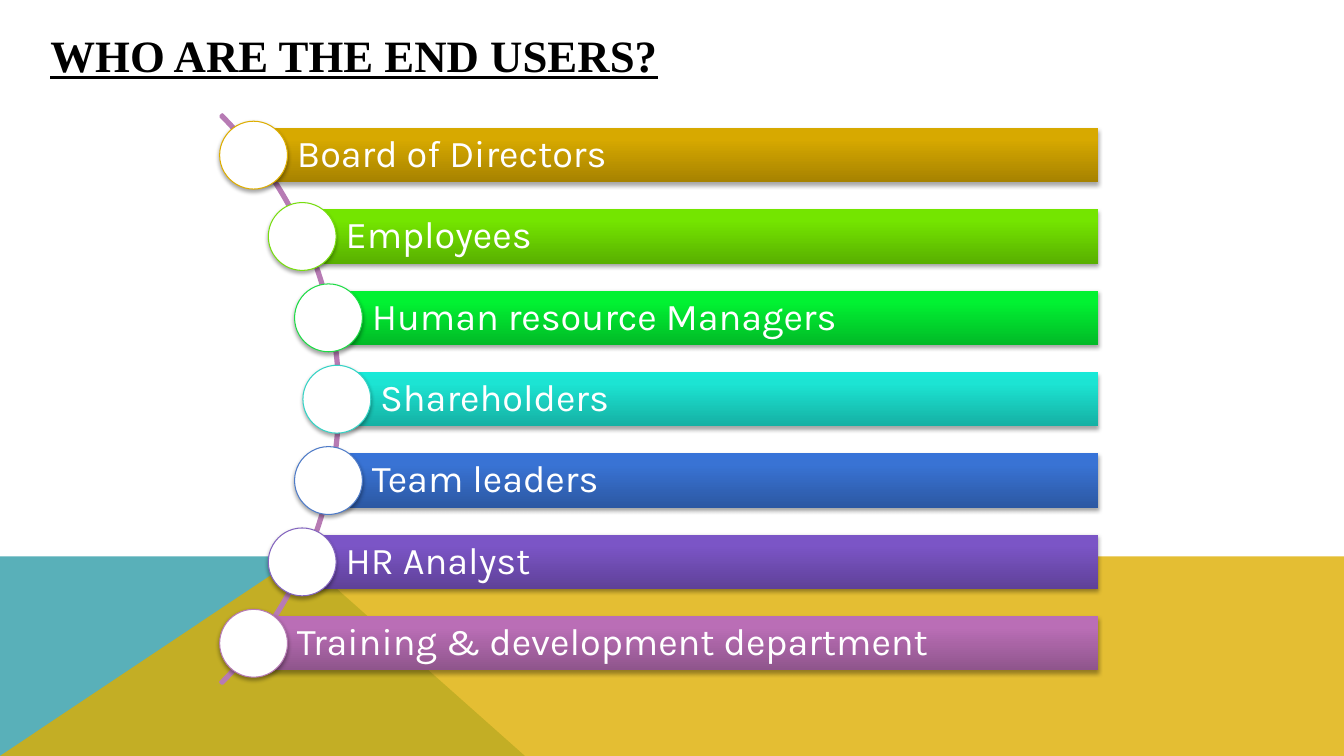
from copy import deepcopy
from dataclasses import dataclass
from math import sqrt

from lxml.etree import SubElement
from pptx import Presentation
from pptx.dml.color import RGBColor
from pptx.enum.shapes import MSO_SHAPE
from pptx.enum.text import MSO_ANCHOR, MSO_AUTO_SIZE, PP_ALIGN
from pptx.oxml.ns import qn
from pptx.shapes.autoshape import Shape
from pptx.slide import Slide
from pptx.text.text import Font
from pptx.util import Cm, Pt

SLIDE_WIDTH, SLIDE_HEIGHT = 33.87, 19.05
HORIZON = 14.02
ARC_X, ARC_Y, ARC_RADIUS = -1.57, 10.06, 10.14
RING_RADIUS, RING_SIZE = 10.06, 1.71
BAR_PITCH, BAR_HEIGHT, BAR_RIGHT = 2.05, 1.37, 27.67
WHITE = "FFFFFF"


@dataclass(frozen=True)
class EndUser:
    label: str
    ring: str
    bottom: str
    upper: str
    top: str


@dataclass(frozen=True)
class Ground:
    corners: tuple[tuple[float, float], ...]
    colour: str
    opacity: int


END_USERS = (
    EndUser("Board of Directors", "DEAE00", "A68200", "D7A900", "D8A900"),
    EndUser("Employees", "77DE0E", "59B000", "74E500", "74E600"),
    EndUser("Human resource Managers", "1DDD45", "01BA27", "01F232", "00F332"),
    EndUser("Shareholders", "34D4C6", "15B0A3", "1CE4D3", "18E9D8"),
    EndUser("Team leaders", "4E7BC8", "2C58A3", "3973D4", "3773D8"),
    EndUser("HR Analyst", "8465BF", "5F4198", "7B55C6", "7B53C9"),
    EndUser("Training & development department", "B77BB4", "8F558C", "BA6EB6", "BC6EB8"),
)

GROUNDS = (
    Ground(((0, SLIDE_HEIGHT), (0, HORIZON), (7.57, HORIZON), (13.23, SLIDE_HEIGHT)),
           "59B0B9", 100),
    Ground(((0, SLIDE_HEIGHT), (7.54, HORIZON), (SLIDE_WIDTH, HORIZON),
            (SLIDE_WIDTH, SLIDE_HEIGHT)), "DEAE00", 80),
)


def colour(value: str) -> RGBColor:
    return RGBColor.from_string(value)


def style_font(font: Font, name: str, size: int, value: str) -> None:
    font.name = name
    font.size = Pt(size)
    font.color.rgb = colour(value)


def add_flat_shape(slide: Slide, kind: MSO_SHAPE, left: float, top: float,
                   width: float, height: float) -> Shape:
    shape = slide.shapes.add_shape(kind, Cm(left), Cm(top), Cm(width), Cm(height))
    shape.shadow.inherit = False
    return shape


def set_alpha(colour_element, percent: int) -> None:
    SubElement(colour_element, qn("a:alpha"), val=str(percent * 1000))


def cast_shadow(shape: Shape) -> None:
    """Add a soft shadow just below the shape."""
    effects = shape._element.spPr.find(qn("a:effectLst"))
    shadow = SubElement(effects, qn("a:outerShdw"), blurRad=str(Pt(3.1)),
                        dist=str(Pt(1.8)), dir="5400000", rotWithShape="0")
    set_alpha(SubElement(shadow, qn("a:srgbClr"), val="000000"), 35)


def fill_gradient(shape: Shape, user: EndUser) -> None:
    shape.fill.gradient()
    shape.fill.gradient_angle = 90
    stop_list = next(shape._element.spPr.iter(qn("a:gsLst")))
    stop_list.insert(1, deepcopy(stop_list[0]))
    shades = ((0, user.bottom), (0.8, user.upper), (1, user.top))
    for stop, (position, shade) in zip(shape.fill.gradient_stops, shades):
        stop.position = position
        stop.color.rgb = colour(shade)


def add_ground(slide: Slide, ground: Ground) -> None:
    start, *others = [(Cm(x), Cm(y)) for x, y in ground.corners]
    builder = slide.shapes.build_freeform(*start)
    builder.add_line_segments(others, close=True)
    shape = builder.convert_to_shape()
    shape.shadow.inherit = False
    shape.fill.solid()
    shape.fill.fore_color.rgb = colour(ground.colour)
    shape.line.fill.background()
    if ground.opacity < 100:
        set_alpha(next(shape._element.spPr.iter(qn("a:srgbClr"))), ground.opacity)


def add_title(slide: Slide) -> None:
    title = slide.shapes.title
    title.left, title.top, title.width, title.height = Cm(1.27), Cm(0.64), Cm(16.51), Cm(1.42)
    frame = title.text_frame
    frame.text = "WHO ARE THE END USERS?"
    frame.auto_size = MSO_AUTO_SIZE.NONE
    frame.vertical_anchor = MSO_ANCHOR.MIDDLE
    frame.margin_left = frame.margin_right = frame.margin_bottom = 0
    frame.margin_top = Cm(0.05)
    heading = frame.paragraphs[0]
    heading.alignment = PP_ALIGN.LEFT
    heading.space_before = Pt(1.3)
    font = heading.runs[0].font
    style_font(font, "Times New Roman", 32, "000000")
    font.bold = font.underline = True


def add_arc(slide: Slide) -> None:
    arc = add_flat_shape(slide, MSO_SHAPE.BLOCK_ARC, ARC_X - ARC_RADIUS, ARC_Y - ARC_RADIUS,
                         2 * ARC_RADIUS, 2 * ARC_RADIUS)
    for index, value in enumerate((189, 27, 0.003)):
        arc.adjustments[index] = value
    arc.fill.background()
    arc.line.color.rgb = colour("B77BB4")
    arc.line.width = Pt(2)


def add_end_user(slide: Slide, user: EndUser, steps_from_middle: int) -> None:
    """Draw one bar that starts at its ring on the arc."""
    offset = steps_from_middle * BAR_PITCH
    x, y = ARC_X + sqrt(RING_RADIUS ** 2 - offset ** 2), ARC_Y + offset

    bar = add_flat_shape(slide, MSO_SHAPE.RECTANGLE, x, y - BAR_HEIGHT / 2,
                         BAR_RIGHT - x, BAR_HEIGHT)
    fill_gradient(bar, user)
    bar.line.fill.background()
    cast_shadow(bar)
    frame = bar.text_frame
    frame.text = user.label
    frame.word_wrap = True
    frame.vertical_anchor = MSO_ANCHOR.MIDDLE
    frame.margin_left = Cm(1.09)
    frame.margin_top = frame.margin_right = frame.margin_bottom = Cm(0.18)
    label = frame.paragraphs[0]
    label.alignment = PP_ALIGN.LEFT
    label.line_spacing = 0.9
    style_font(label.runs[0].font, "Karla", 27, WHITE)

    ring = add_flat_shape(slide, MSO_SHAPE.OVAL, x - RING_SIZE / 2, y - RING_SIZE / 2,
                          RING_SIZE, RING_SIZE)
    ring.fill.solid()
    ring.fill.fore_color.rgb = colour(WHITE)
    ring.line.color.rgb = colour(user.ring)
    ring.line.width = Pt(0.75)
    cast_shadow(ring)


def main() -> None:
    presentation = Presentation()
    presentation.slide_width = Cm(SLIDE_WIDTH)
    presentation.slide_height = Cm(SLIDE_HEIGHT)
    slide = presentation.slides.add_slide(presentation.slide_layouts[5])
    for ground in GROUNDS:
        add_ground(slide, ground)
    add_title(slide)
    add_arc(slide)
    for index, user in enumerate(END_USERS):
        add_end_user(slide, user, index - len(END_USERS) // 2)
    presentation.save("out.pptx")


if __name__ == "__main__":
    main()
